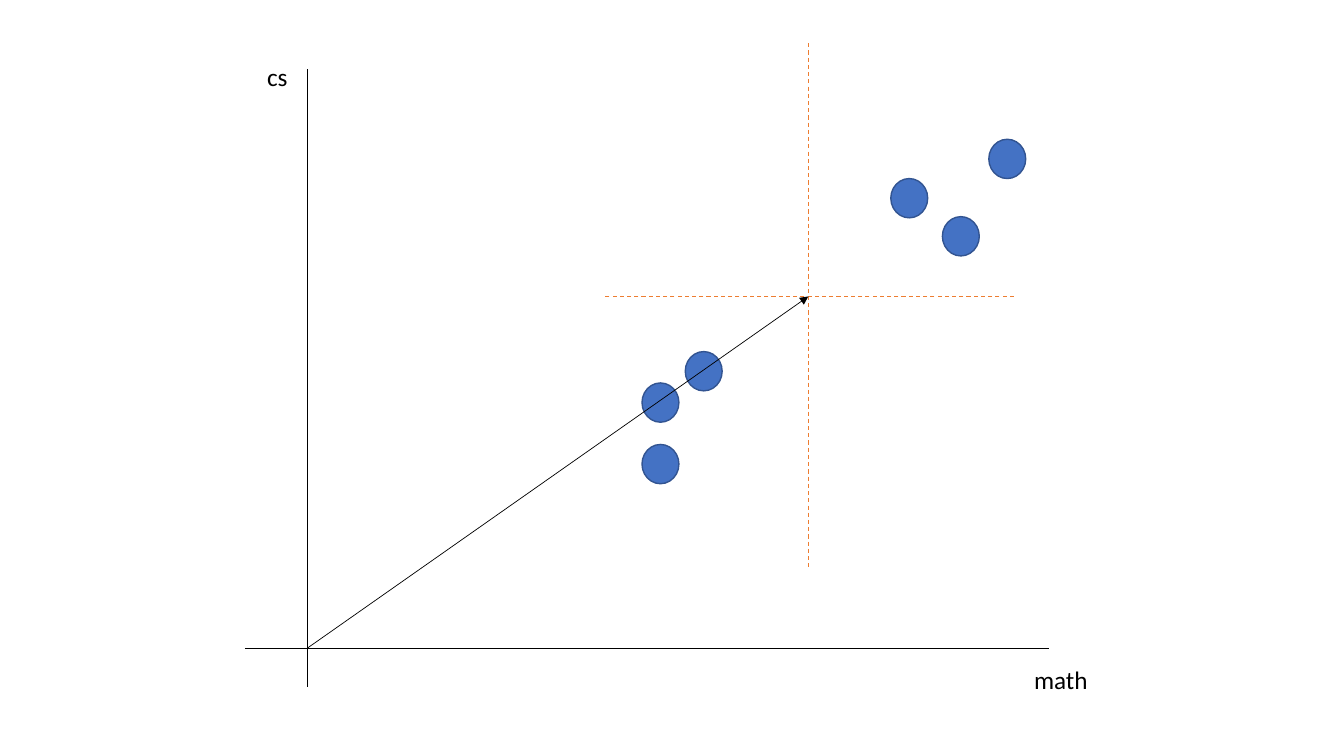
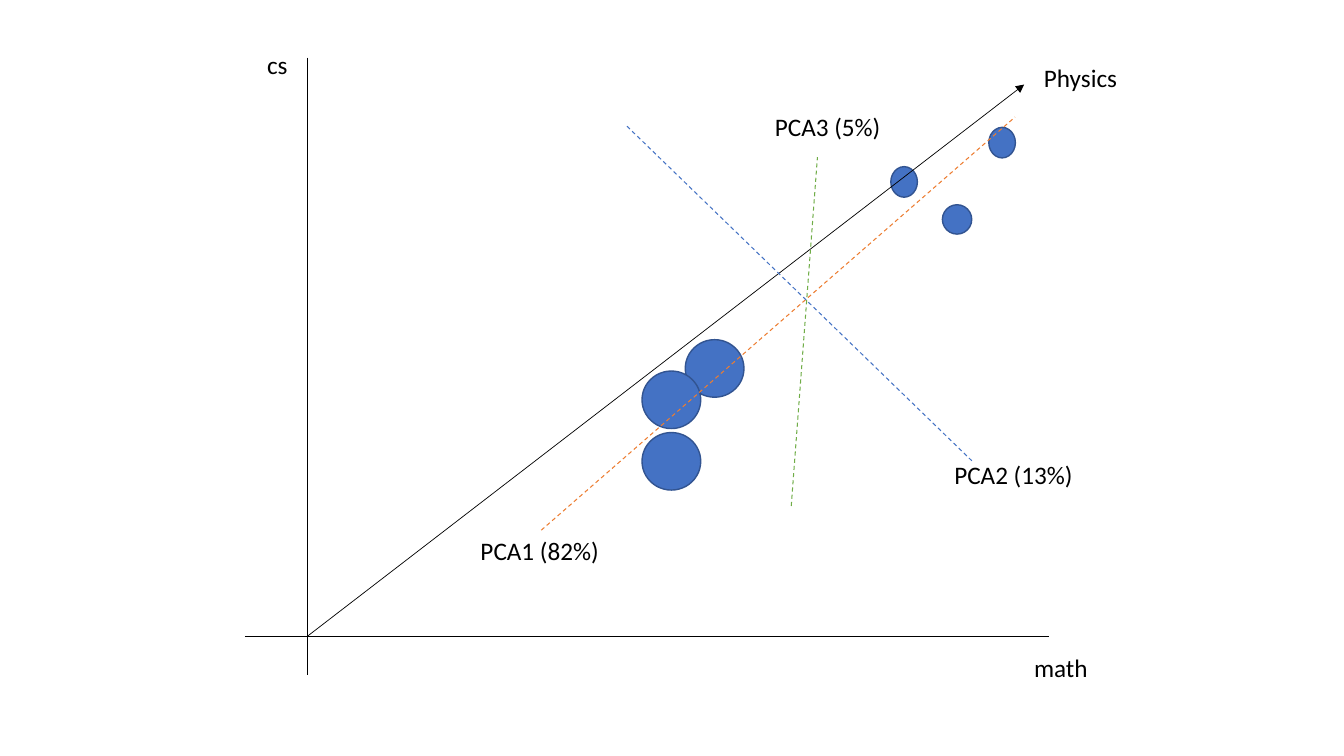
"""Build two slides that lead from student marks to principal components."""
from dataclasses import dataclass

from lxml import etree
from pptx import Presentation
from pptx.dml.color import RGBColor
from pptx.enum.dml import MSO_LINE
from pptx.enum.shapes import MSO_CONNECTOR, MSO_SHAPE
from pptx.enum.text import MSO_AUTO_SIZE
from pptx.oxml.ns import qn
from pptx.shapes.shapetree import GroupShapes, SlideShapes
from pptx.slide import Slide
from pptx.util import Cm, Pt

OVAL = MSO_SHAPE.OVAL
STRAIGHT = MSO_CONNECTOR.STRAIGHT
DASH = MSO_LINE.DASH
FIT_TEXT = MSO_AUTO_SIZE.SHAPE_TO_FIT_TEXT

BLACK, BLUE, DARK_BLUE = "000000", "4472C4", "325491"
ORANGE, GREEN = "ED7D31", "70AD47"
FONT = "Calibri"
LABEL_HEIGHT = 1.02
ORIGIN_X = 7.75

Shapes = SlideShapes | GroupShapes
Point = tuple[float, float]


@dataclass(frozen=True)
class Line:
    """A straight line in cm; dashed or ending in an arrowhead."""
    start: Point
    end: Point
    color: str = BLACK
    width: float = 0.5
    dashed: bool = False
    arrow: bool = False


@dataclass(frozen=True)
class Label:
    """A one-line text with its top left corner and width in cm."""
    text: str
    left: float
    top: float
    width: float


# Top left corners of the students, with the top measured from the origin
STUDENTS: list[Point] = [
    (24.92, -12.82), (22.45, -11.83), (23.75, -10.87),
    (17.27, -7.47), (16.18, -6.68), (16.18, -5.13),
]
EQUAL_SIZES: list[Point] = [(0.93, 0.99)] * len(STUDENTS)
PHYSICS_SIZES: list[Point] = (
    [(0.67, 0.77)] * 2 + [(0.74, 0.74)] + [(1.48, 1.45)] * 3
)


def rgb(color: str) -> RGBColor:
    """Turn a hex string into a colour."""
    return RGBColor.from_string(color)


def add_line(shapes: Shapes, line: Line) -> None:
    """Draw one line."""
    sp = shapes.add_connector(
        STRAIGHT, *(Cm(v) for v in (*line.start, *line.end)))
    sp.line.color.rgb = rgb(line.color)
    sp.line.width = Pt(line.width)
    if line.dashed:
        sp.line.dash_style = DASH
    properties = sp.element.spPr
    if line.arrow:
        outline = properties.find(qn("a:ln"))
        etree.SubElement(outline, qn("a:tailEnd"), type="triangle")
    etree.SubElement(properties, qn("a:effectLst"))


def add_dashed(shapes: Shapes, start: Point, end: Point, color: str) -> None:
    """Draw a dashed coloured line."""
    add_line(shapes, Line(start, end, color, 0.75, dashed=True))


def add_label(shapes: Shapes, label: Label) -> None:
    """Write one label."""
    sp = shapes.add_textbox(
        Cm(label.left), Cm(label.top), Cm(label.width), Cm(LABEL_HEIGHT))
    tf = sp.text_frame
    tf.word_wrap = False
    tf.auto_size = FIT_TEXT
    tf.text = label.text
    font = tf.paragraphs[0].runs[0].font
    font.name, font.size = FONT, Pt(18)
    font.color.rgb = rgb(BLACK)


def add_student(shapes: Shapes, left: float, top: float, size: Point) -> None:
    """Draw one student as a blue dot."""
    sp = shapes.add_shape(OVAL, Cm(left), Cm(top), *(Cm(v) for v in size))
    sp.shadow.inherit = False
    sp.fill.solid()
    sp.fill.fore_color.rgb = rgb(BLUE)
    sp.line.color.rgb = rgb(DARK_BLUE)
    sp.line.width = Pt(1)


def add_plot(s: Slide, origin_y: float, sizes: list[Point]) -> None:
    """Draw the grouped axes, axis names and students."""
    shapes = s.shapes.add_group_shape().shapes
    add_line(shapes, Line((ORIGIN_X, origin_y - 14.58),
                          (ORIGIN_X, origin_y + 0.97)))
    add_line(shapes, Line((6.17, origin_y), (26.44, origin_y)))
    add_label(shapes, Label("cs", 6.48, origin_y - 14.91, 1.04))
    add_label(shapes, Label("math", 25.81, origin_y + 0.28, 1.88))
    for (left, rise), size in zip(STUDENTS, sizes):
        add_student(shapes, left, origin_y + rise, size)


def build_centre_slide(s: Slide) -> None:
    """Show the centre of the students and the vector to it."""
    origin_y = 16.33
    centre_x, centre_y = 20.37, 7.47
    add_plot(s, origin_y, EQUAL_SIZES)
    add_dashed(s.shapes, (centre_x, 1.09), (centre_x, 14.35), ORANGE)
    add_dashed(s.shapes, (25.55, centre_y), (15.19, centre_y), ORANGE)
    add_line(s.shapes, Line((ORIGIN_X, origin_y), (centre_x, centre_y),
                            arrow=True))


def build_components_slide(s: Slide) -> None:
    """Show a third subject and the three principal components."""
    origin_y = 16.03
    add_plot(s, origin_y, PHYSICS_SIZES)
    add_line(s.shapes, Line((ORIGIN_X, origin_y), (25.81, 2.13), arrow=True))
    add_label(s.shapes, Label("Physics", 26.06, 1.45, 2.36))
    add_dashed(s.shapes, (13.64, 13.36), (25.58, 2.95), ORANGE)
    add_dashed(s.shapes, (15.8, 3.18), (24.49, 11.61), BLUE)
    add_dashed(s.shapes, (19.94, 12.75), (20.6, 3.96), GREEN)
    for label in (
        Label("PCA1 (82%)", 11.86, 13.36, 3.53),
        Label("PCA2 (13%)", 23.8, 11.46, 3.53),
        Label("PCA3 (5%)", 19.28, 2.69, 3.2),
    ):
        add_label(s.shapes, label)


def main() -> None:
    """Build and save the presentation."""
    prs = Presentation()
    prs.slide_width, prs.slide_height = Cm(33.87), Cm(19.05)
    blank = prs.slide_layouts[6]
    for build in (build_centre_slide, build_components_slide):
        build(prs.slides.add_slide(blank))
    prs.save("out.pptx")


main()
